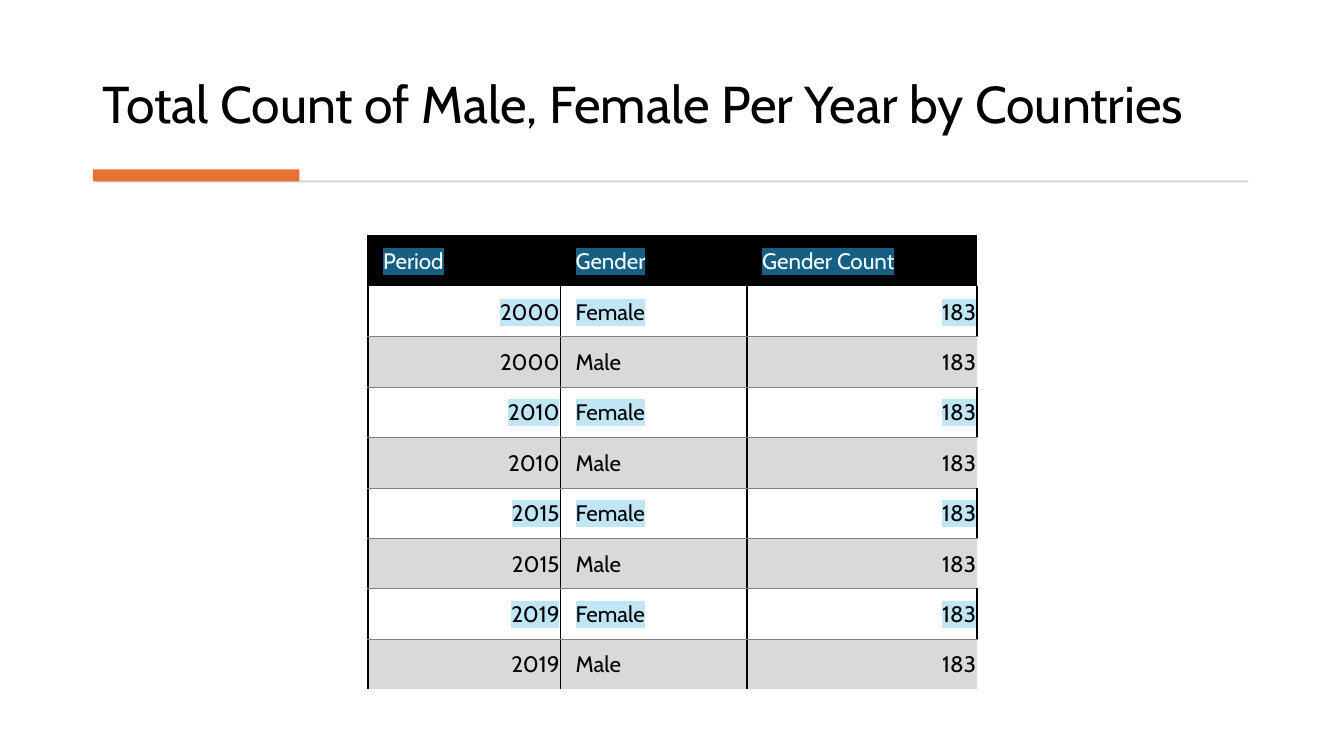
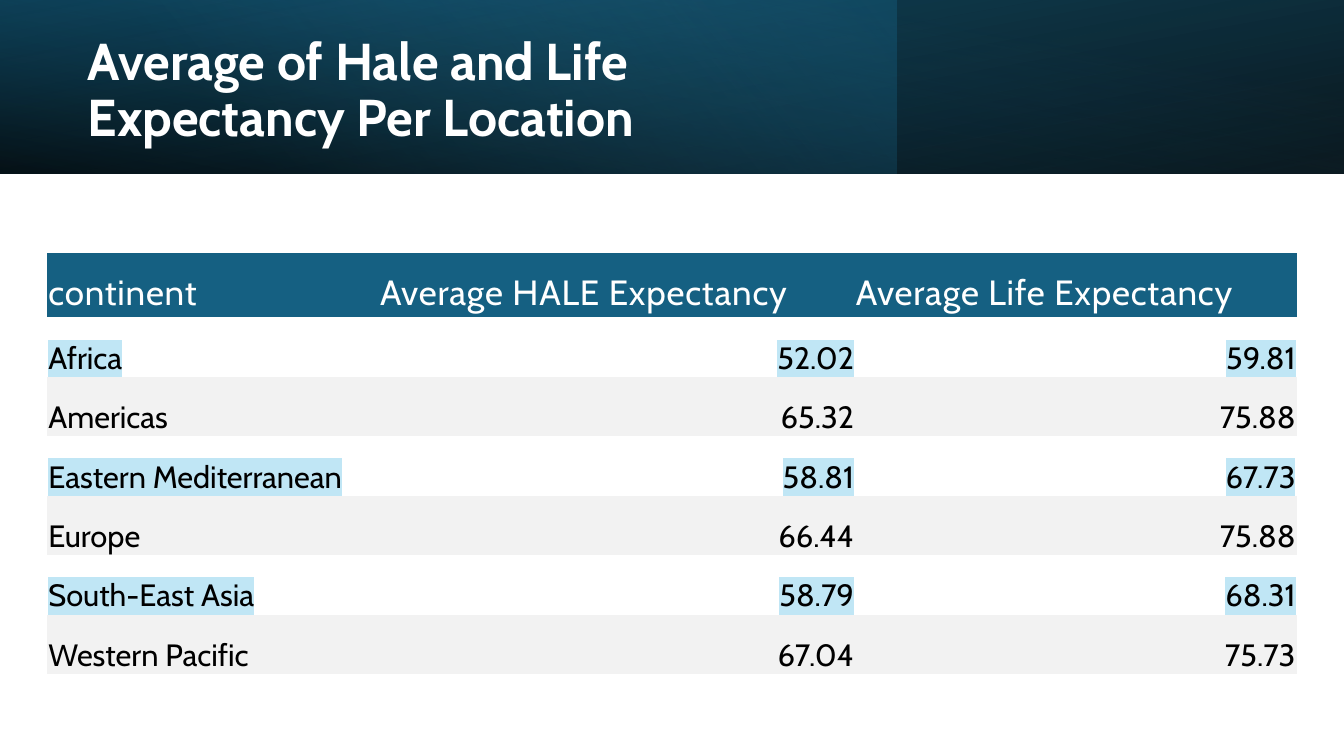
from lxml import etree
from pptx import Presentation
from pptx.dml.color import RGBColor
from pptx.enum import shapes, text
from pptx.oxml.ns import qn
from pptx.util import Inches, Pt

# Shared style
FONT = "Cabin"
TITLE_SIZE = 37
BLACK = RGBColor(0x00, 0x00, 0x00)
WHITE = RGBColor(0xFF, 0xFF, 0xFF)
ORANGE = RGBColor(0xE9, 0x71, 0x32)
RULE_GREY = RGBColor(0xD5, 0xD5, 0xD5)
LINE_GREY = RGBColor(0x80, 0x80, 0x80)
ROW_GREY = RGBColor(0xD9, 0xD9, 0xD9)
ROW_PALE = RGBColor(0xF2, 0xF2, 0xF2)
TEAL = RGBColor(0x15, 0x60, 0x82)
DEEP_TEAL = RGBColor(0x10, 0x48, 0x62)
SKY = RGBColor(0x46, 0xB1, 0xE1)
MARK_BLUE = RGBColor(0xC0, 0xE6, 0xF5)
NO_STYLE = "{2D5ABB26-0587-4C30-8999-92F81FD0307C}"

# Content
GENDER_TITLE = "Total Count of Male, Female Per Year by Countries"
GENDER_ROWS = [("Period", "Gender", "Gender Count")] + [
    (year, gender, "183")
    for year in ("2000", "2010", "2015", "2019")
    for gender in ("Female", "Male")
]
LOCATION_TITLE = "Average of Hale and Life Expectancy Per Location"
LOCATION_ROWS = [
    ("continent", "Average HALE Expectancy", "Average Life Expectancy"),
    ("Africa", "52.02", "59.81"),
    ("Americas", "65.32", "75.88"),
    ("Eastern Mediterranean", "58.81", "67.73"),
    ("Europe", "66.44", "75.88"),
    ("South-East Asia", "58.79", "68.31"),
    ("Western Pacific", "67.04", "75.73"),
]

# Banner layers: width, rotation, mirrored, clockwise angle,
# stops as (position, colour, opacity %)
BANNER_HEIGHT = 1.72
BANNER_LAYERS = [
    (13.33, 180, True, 100, [(0, BLACK, 96), (1, DEEP_TEAL, 100)]),
    (8.89, 0, False, 140, [(0, TEAL, 41), (0.74, SKY, 0)]),
    (13.33, 0, True, 260, [(0, BLACK, 63), (0.78, TEAL, 15)]),
]


def add_page(deck, title, place, anchor, color, bold=False):
    page = deck.slides.add_slide(deck.slide_layouts[5])
    box = page.shapes.title
    box.left, box.top, box.width, box.height = map(Inches, place)
    frame = box.text_frame
    frame.word_wrap = True
    frame.auto_size = text.MSO_AUTO_SIZE.NONE
    frame.vertical_anchor = anchor
    para = frame.paragraphs[0]
    para.alignment = text.PP_ALIGN.LEFT
    para.line_spacing = 0.9
    add_span(para, title, TITLE_SIZE, color, bold=bold)
    return page


def add_span(para, words, size, color, bold=False, mark=None, spacing=0):
    span = para.add_run()
    span.text = words
    font = span.font
    font.name, font.size, font.bold = FONT, Pt(size), bold
    font.color.rgb = color
    props = para._p.find(qn("a:r")).find(qn("a:rPr"))
    if spacing:
        props.set("spc", str(round(spacing * 100)))
    if mark is not None:
        highlight = etree.Element(qn("a:highlight"))
        etree.SubElement(highlight, qn("a:srgbClr"), val=str(mark))
        props.find(qn("a:solidFill")).addnext(highlight)


def add_rect(page, left, top, width, height, color=None):
    rect = page.shapes.add_shape(
        shapes.MSO_SHAPE.RECTANGLE, *map(Inches, (left, top, width, height)))
    rect.shadow.inherit = False
    rect.line.fill.background()
    if color is not None:
        rect.fill.solid()
        rect.fill.fore_color.rgb = color
    return rect


def add_banner_layer(page, width, rotation, mirrored, angle, stops):
    layer = add_rect(page, 0, 0, width, BANNER_HEIGHT)
    layer.rotation = rotation
    if mirrored:
        layer.element.spPr.find(qn("a:xfrm")).set("flipH", "1")
    layer.fill.gradient()
    layer.fill.gradient_angle = 360 - angle
    for stop, (position, color, _) in zip(layer.fill.gradient_stops, stops):
        stop.position = position
        stop.color.rgb = color
    gradient = layer.element.spPr.find(qn("a:gradFill"))
    for paint, (_, _, opacity) in zip(gradient.iter(qn("a:srgbClr")), stops):
        etree.SubElement(paint, qn("a:alpha"), val=str(opacity * 1000))


def set_borders(cell, sides):
    """Draw the named sides, with L, R, T, B in the order the schema needs."""
    props = cell._tc.get_or_add_tcPr()
    for index, side in enumerate(s for s in "LRTB" if s in sides):
        color, width = sides[side]
        line = etree.Element(qn(f"a:ln{side}"), w=str(Pt(width)))
        fill = etree.SubElement(line, qn("a:solidFill"))
        etree.SubElement(fill, qn("a:srgbClr"), val=str(color))
        props.insert(index, line)


def grid_borders(row, column, last_column):
    """Black uprights, with a grey line between the rows of each year."""
    upright, hairline = (BLACK, 1.5), (LINE_GREY, 0.5)
    if row == 0:
        sides = {"T": upright}
        if column == 0:
            sides["L"] = upright
        return sides
    if row % 2:
        return {"L": upright, "R": upright, "B": hairline}
    sides = {"L": upright, "T": hairline}
    if column < last_column:
        sides["R"] = upright
    return sides


def add_grid(page, rows, left, top, columns, heights, insets, sizes,
             head_fill, band_fill, head_spacing=0, borders=None):
    frame = page.shapes.add_table(
        len(rows), len(columns), Inches(left), Inches(top),
        Inches(sum(columns)),
        Inches(heights[0] + heights[1] * (len(rows) - 1)))
    frame.element.find(".//" + qn("a:tableStyleId")).text = NO_STYLE
    table = frame.table
    table.horz_banding = False
    for column, width in zip(table.columns, columns):
        column.width = Inches(width)
    for r, values in enumerate(rows):
        head, marked = r == 0, r % 2 == 1
        table.rows[r].height = Inches(heights[0 if head else 1])
        for c, value in enumerate(values):
            cell = table.cell(r, c)
            (cell.margin_left, cell.margin_top,
             cell.margin_right, cell.margin_bottom) = map(Inches, insets)
            cell.vertical_anchor = (text.MSO_ANCHOR.MIDDLE if head
                                    else text.MSO_ANCHOR.BOTTOM)
            if marked:
                cell.fill.background()
            else:
                cell.fill.solid()
                cell.fill.fore_color.rgb = head_fill if head else band_fill
            if borders:
                set_borders(cell, borders(r, c, len(columns) - 1))
            para = cell.text_frame.paragraphs[0]
            numeric = value[0].isdigit()
            para.alignment = (text.PP_ALIGN.RIGHT if numeric
                              else text.PP_ALIGN.LEFT)
            add_span(para, value, sizes[0 if head else 1],
                     WHITE if head else BLACK,
                     mark=TEAL if head else MARK_BLUE if marked else None,
                     spacing=head_spacing if head else 0)


def build_gender_page(deck):
    page = add_page(deck, GENDER_TITLE, (0.92, 0.72, 11.49, 0.67),
                    text.MSO_ANCHOR.BOTTOM, BLACK)
    add_rect(page, 0.95, 1.79, 11.43, 0.02, RULE_GREY)
    add_rect(page, 0.92, 1.68, 2.05, 0.12, ORANGE)
    add_grid(page, GENDER_ROWS, 3.65, 2.34, (1.91, 1.85, 2.28), (0.5, 0.5),
             (0.15, 0.11, 0.01, 0.11), (16, 16), BLACK, ROW_GREY,
             borders=grid_borders)


def build_location_page(deck):
    page = add_page(deck, LOCATION_TITLE, (0.77, 0.27, 7.72, 1.27),
                    text.MSO_ANCHOR.MIDDLE, WHITE, bold=True)
    for layer in BANNER_LAYERS:
        add_banner_layer(page, *layer)
    # Bring the title in front of the banner
    title = page.shapes.title.element
    title.getparent().append(title)
    add_grid(page, LOCATION_ROWS, 0.47, 2.51, (3.29, 4.72, 4.38),
             (0.64, 0.59), (0.01, 0.16, 0.01, 0), (25, 22), TEAL, ROW_PALE,
             head_spacing=0.6)


def main():
    deck = Presentation()
    deck.slide_width, deck.slide_height = Inches(13.33), Inches(7.5)
    build_gender_page(deck)
    build_location_page(deck)
    deck.save("out.pptx")


if __name__ == "__main__":
    main()
